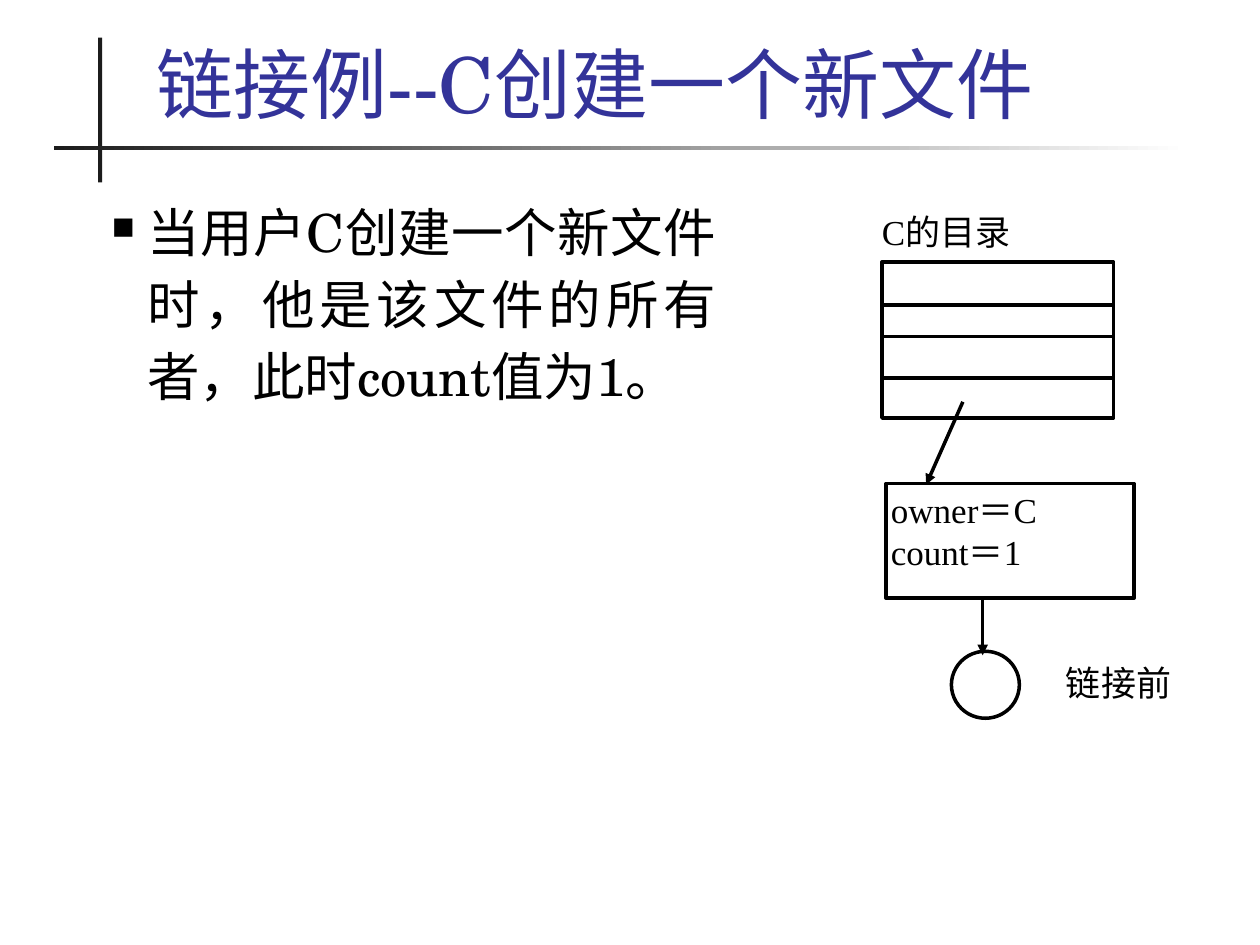
from lxml.etree import SubElement
from pptx import Presentation
from pptx.dml.color import RGBColor
from pptx.enum.shapes import MSO_CONNECTOR, MSO_SHAPE
from pptx.enum.text import MSO_ANCHOR, MSO_AUTO_SIZE, PP_ALIGN
from pptx.oxml.ns import qn
from pptx.util import Cm, Pt

COLORS = {"ink": "000000", "bar": "1C1C1C", "title": "333399", "paper": "FFFFFF"}
SERIF = "Times New Roman"
SCHOLA = "TeX Gyre Schola"


def color(name):
    return RGBColor.from_string(COLORS[name])


def write(shape, text, size, font, ink="ink", align=PP_ALIGN.JUSTIFY,
          inset=(0, 0, 0, 0), anchor=MSO_ANCHOR.TOP):
    """Fill a shape with text in one style; inset is left, top, right, bottom."""
    frame = shape.text_frame
    frame.text = text
    frame.word_wrap = True
    frame.auto_size = MSO_AUTO_SIZE.NONE
    frame.vertical_anchor = anchor
    frame.margin_left, frame.margin_top, frame.margin_right, frame.margin_bottom = map(Cm, inset)
    for para in frame.paragraphs:
        para.alignment = align
        for run in para.runs:
            run.font.size = Pt(size)
            run.font.name = font
            run.font.color.rgb = color(ink)
    return frame


def add_text(slide, box, text, size=20, font=SERIF, **style):
    return write(slide.shapes.add_textbox(*map(Cm, box)), text, size, font, **style)


def add_box(slide, box, kind=MSO_SHAPE.RECTANGLE):
    shape = slide.shapes.add_shape(kind, *map(Cm, box))
    shape.shadow.inherit = False
    shape.fill.solid()
    shape.fill.fore_color.rgb = color("paper")
    shape.line.color.rgb = color("ink")
    shape.line.width = Pt(2)
    return shape


def add_bar(slide, box, fade=False):
    bar = slide.shapes.add_shape(MSO_SHAPE.RECTANGLE, *map(Cm, box))
    bar.shadow.inherit = False
    bar.line.fill.background()
    if fade:
        bar.fill.gradient()
        bar.fill.gradient_angle = 0
        for stop, name in zip(bar.fill.gradient_stops, ("bar", "paper")):
            stop.color.rgb = color(name)
    else:
        bar.fill.solid()
        bar.fill.fore_color.rgb = color("bar")


def add_line(slide, start, end, arrow=False):
    line = slide.shapes.add_connector(MSO_CONNECTOR.STRAIGHT, *map(Cm, start + end))
    line.line.color.rgb = color("ink")
    line.line.width = Pt(2)
    if arrow:
        SubElement(line.line._get_or_add_ln(), qn("a:tailEnd"), type="triangle")
    SubElement(line._element.spPr, qn("a:effectLst"))


def add_bullet(para):
    props = para._p.get_or_add_pPr()
    props.set("marL", str(Cm(0.72)))
    props.set("indent", str(Cm(-0.72)))
    tint = SubElement(props, qn("a:buClr"))
    SubElement(tint, qn("a:srgbClr"), val=COLORS["ink"])
    SubElement(props, qn("a:buSzPct"), val="60000")
    SubElement(props, qn("a:buChar"), char="■")


def add_title(slide):
    title = slide.shapes.title
    title.left, title.top, title.width, title.height = map(Cm, (2.9, 0.64, 21.82, 2.08))
    write(title, "链接例--C创建一个新文件", 44, SCHOLA, "title", PP_ALIGN.LEFT,
          (0.25, 0.13, 0.25, 0.13), MSO_ANCHOR.BOTTOM)


def add_body(slide):
    frame = add_text(slide, (2, 3.73, 12.7, 7.72),
                     "当用户C创建一个新文件时，他是该文件的所有者，此时count值为1。",
                     30, SCHOLA, inset=(0.25, 0.13, 0.25, 0.13))
    para = frame.paragraphs[0]
    add_bullet(para)
    para.line_spacing = 1.14


def add_folder(slide):
    left, width = 17.78, 4.67
    add_box(slide, (left, 5.28, width, 3.15))
    add_text(slide, (left, 4.24, 3.18, 0.84), "C的目录")
    for y in (6.15, 6.78, 7.62):
        add_line(slide, (left, y), (left + width, y))


def add_file(slide):
    node = add_box(slide, (17.86, 9.75, 5, 2.31))
    write(node, "owner＝C\ncount＝1", 20, SERIF, inset=(0.1, 0.1, 0.1, 0))
    add_line(slide, (19.41, 8.1), (18.67, 9.77), arrow=True)
    add_box(slide, (19.18, 13.13, 1.37, 1.35), MSO_SHAPE.OVAL)
    add_text(slide, (21.49, 13.34, 2.44, 1.02), "链接前")
    add_line(slide, (19.81, 12.06), (19.81, 13.21), arrow=True)


def main():
    deck = Presentation()
    deck.slide_width, deck.slide_height = Cm(25.4), Cm(19.05)
    slide = deck.slides.add_slide(deck.slide_layouts[5])
    add_bar(slide, (1.98, 0.76, 0.08, 2.92))
    add_bar(slide, (1.09, 2.95, 22.86, 0.08), fade=True)
    add_title(slide)
    add_body(slide)
    add_folder(slide)
    add_file(slide)
    deck.save("out.pptx")


if __name__ == "__main__":
    main()
